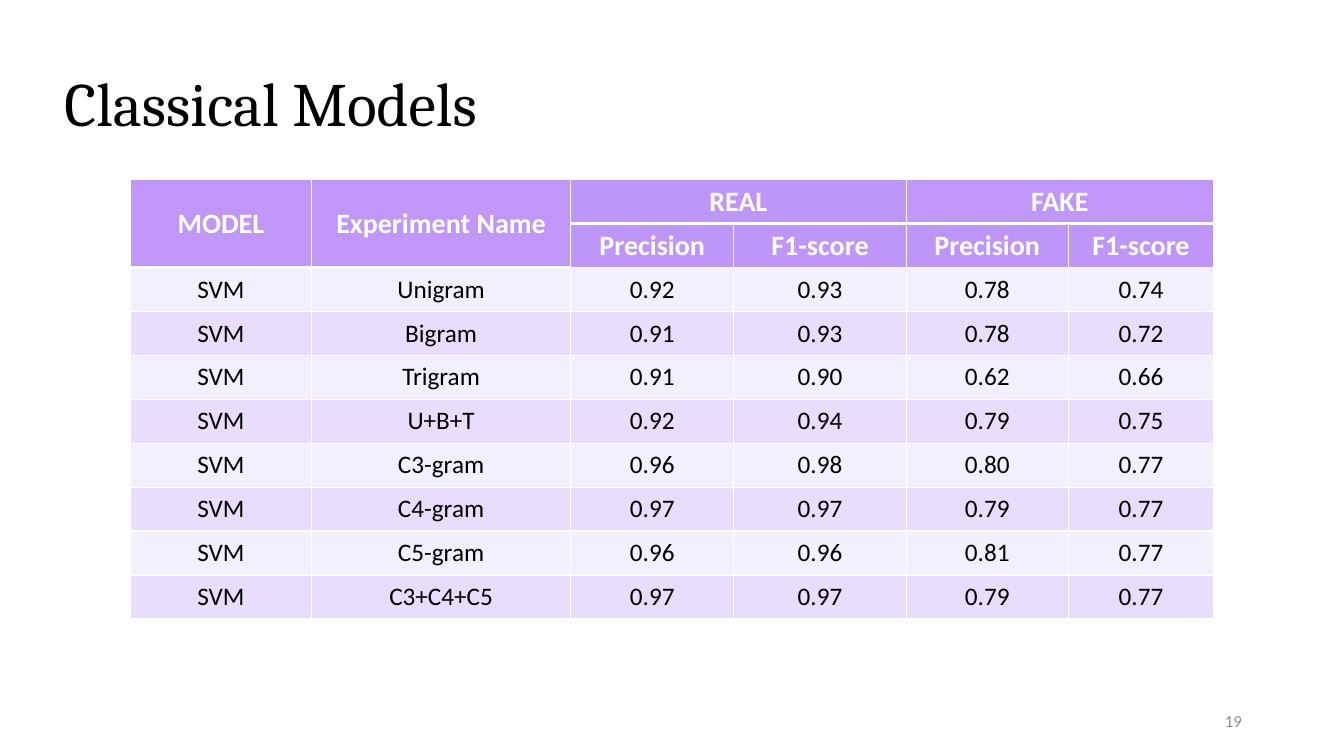
from lxml import etree
from pptx import Presentation, util as u
from pptx.dml.color import RGBColor
from pptx.enum import text as t
from pptx.oxml import ns

TITLE = "Classical Models"
PAGE = "19"
HEAD = [
    ["MODEL", "Experiment Name", "REAL", "", "FAKE", ""],
    ["", "", "Precision", "F1-score", "Precision", "F1-score"],
]
SCORES = [
    ("Unigram", "0.92", "0.93", "0.78", "0.74"),
    ("Bigram", "0.91", "0.93", "0.78", "0.72"),
    ("Trigram", "0.91", "0.90", "0.62", "0.66"),
    ("U+B+T", "0.92", "0.94", "0.79", "0.75"),
    ("C3-gram", "0.96", "0.98", "0.80", "0.77"),
    ("C4-gram", "0.97", "0.97", "0.79", "0.77"),
    ("C5-gram", "0.96", "0.96", "0.81", "0.77"),
    ("C3+C4+C5", "0.97", "0.97", "0.79", "0.77"),
]
ROWS = HEAD + [["SVM", *row] for row in SCORES]
MERGES = [((0, 0), (1, 0)), ((0, 1), (1, 1)), ((0, 2), (0, 3)), ((0, 4), (0, 5))]
WIDTHS = [129.6, 185, 116.6, 123.1, 115.9, 103.7]
LEFT, TOP, HIGH = 93, 128.3, 31.4

THEME = {
    "title": ("Cambria", 44, "000000", False),
    "page": ("Calibri", 12, "8C8C8C", False),
    "head": ("Calibri", 20, "FFFFFF", True),
    "body": ("Calibri", 18, "000000", False),
    "fill": "C097F8",
    "real": "BE96FA",
    "bands": ("F4EFFE", "E8DDFC"),
    "rule": "FFFFFF",
    "thin": 1,
    "thick": 3,
}


def write(frame, words, style, align):
    name, size, color, bold = THEME[style]
    frame.text = words
    para = frame.paragraphs[0]
    para.alignment = align
    for run in para.runs:
        run.font.name, run.font.size, run.font.bold = name, u.Pt(size), bold
        run.font.color.rgb = RGBColor.from_string(color)
    return para


def label(slide, box, words, style, align):
    frame = slide.shapes.add_textbox(*map(u.Pt, box)).text_frame
    frame.word_wrap = True
    frame.vertical_anchor = t.MSO_ANCHOR.MIDDLE
    return write(frame, words, style, align)


def edge(cell, side, width):
    line = etree.SubElement(cell._tc.get_or_add_tcPr(), ns.qn("a:ln" + side), w=str(u.Pt(width)))
    fill = etree.SubElement(line, ns.qn("a:solidFill"))
    etree.SubElement(fill, ns.qn("a:srgbClr"), val=THEME["rule"])


def rule(row, col):
    return THEME["thick" if row == (2 if col < 2 else 1) else "thin"]


def shade(row, col):
    if row >= len(HEAD):
        return THEME["bands"][row % 2]
    return THEME["real" if row == 1 or col in (2, 3) else "fill"]


def grid(slide):
    size = sum(WIDTHS), HIGH * len(ROWS)
    table = slide.shapes.add_table(len(ROWS), len(WIDTHS), *map(u.Pt, (LEFT, TOP, *size))).table
    for col, width in zip(table.columns, WIDTHS):
        col.width = u.Pt(width)
    for line in table.rows:
        line.height = u.Pt(HIGH)
    for first, last in MERGES:
        table.cell(*first).merge(table.cell(*last))
    for row, line in enumerate(ROWS):
        for col, words in enumerate(line):
            cell = table.cell(row, col)
            edge(cell, "L", THEME["thin"])
            edge(cell, "R", THEME["thin"])
            edge(cell, "T", rule(row, col))
            edge(cell, "B", rule(row + cell.span_height, col))
            cell.fill.solid()
            cell.fill.fore_color.rgb = RGBColor.from_string(shade(row, col))
            cell.vertical_anchor = t.MSO_ANCHOR.MIDDLE
            style = "head" if row < len(HEAD) else "body"
            write(cell.text_frame, words, style, t.PP_ALIGN.CENTER)


def main():
    deck = Presentation()
    deck.slide_width, deck.slide_height = u.Pt(960), u.Pt(540)
    slide = deck.slides.add_slide(deck.slide_layouts[6])
    title = label(slide, (38.9, 23.8, 828, 104.4), TITLE, "title", t.PP_ALIGN.LEFT)
    title.line_spacing = 0.9
    label(slide, (678.2, 500.4, 216, 28.8), PAGE, "page", t.PP_ALIGN.RIGHT)
    grid(slide)
    deck.save("out.pptx")


if __name__ == "__main__":
    main()
